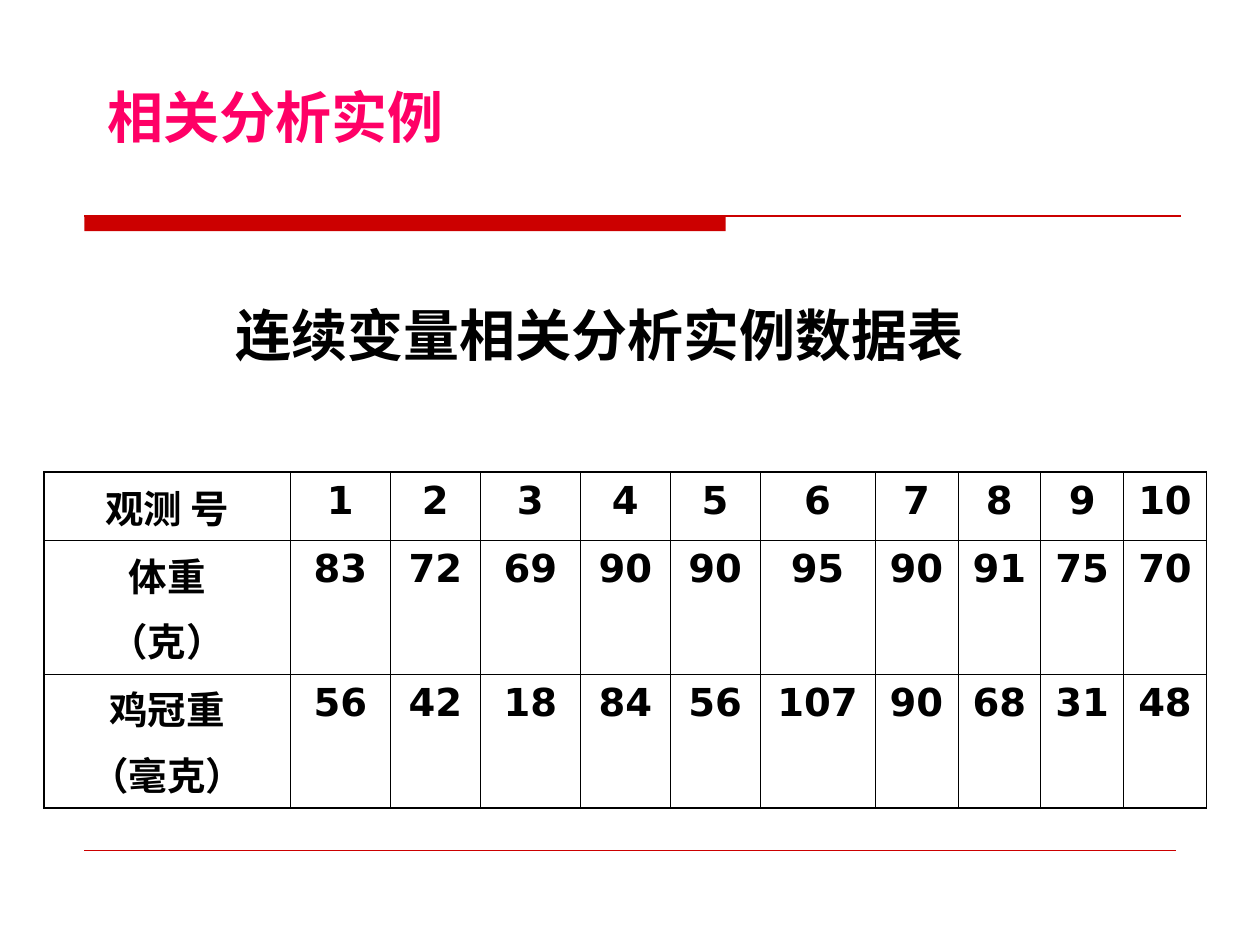
from lxml.etree import SubElement
from pptx import Presentation
from pptx.dml.color import RGBColor
from pptx.enum.shapes import MSO_CONNECTOR as Connector, MSO_SHAPE as Shape
from pptx.enum.text import MSO_ANCHOR as Anchor, MSO_AUTO_SIZE as AutoSize, PP_ALIGN as Align
from pptx.oxml.ns import qn
from pptx.util import Cm, Pt

RED, PINK, BLACK = "CC0000", "FF0066", "000000"
HEADING_FONT, TABLE_FONT = "Times New Roman", "DejaVu Sans"
OUTER_BORDER, INNER_BORDER = Pt(1.08), Pt(0.45)

COLUMN_WIDTHS = [4.96, 2.02, 1.81, 2.02, 1.81, 1.81, 2.32] + [1.67] * 4
ROW_HEIGHTS = [1.37, 2.7, 2.7]
ROWS = [
    ["观测 号", *range(1, 11)],
    ["体重\n（克）", 83, 72, 69, 90, 90, 95, 90, 91, 75, 70],
    ["鸡冠重\n（毫克）", 56, 42, 18, 84, 56, 107, 90, 68, 31, 48],
]


def color(value):
    return RGBColor.from_string(value)


def format_font(font, name, size, hex_color):
    values = {"name": name, "size": Pt(size), "bold": True}
    for attribute, value in values.items():
        setattr(font, attribute, value)
    font.color.rgb = color(hex_color)


def write_heading(shape, text, hex_color):
    frame = shape.text_frame
    frame.text = text
    values = {"word_wrap": False, "auto_size": AutoSize.SHAPE_TO_FIT_TEXT,
              "vertical_anchor": Anchor.TOP}
    for attribute, value in values.items():
        setattr(frame, attribute, value)
    paragraph = frame.paragraphs[0]
    paragraph.alignment = Align.LEFT
    format_font(paragraph.font, HEADING_FONT, 32, hex_color)


def add_line(slide, left, right, top, width):
    line = slide.shapes.add_connector(Connector.STRAIGHT, Cm(left), Cm(top), Cm(right), Cm(top))
    line.line.color.rgb = color(RED)
    line.line.width = Pt(width)
    SubElement(line._element.spPr, qn("a:effectLst"))


def add_bar(slide, left, top, width, height):
    bar = slide.shapes.add_shape(Shape.RECTANGLE, Cm(left), Cm(top), Cm(width), Cm(height))
    bar.shadow.inherit = False
    bar.fill.solid()
    bar.fill.fore_color.rgb = color(RED)
    bar.line.fill.background()


def set_borders(cell, outer_sides):
    properties = cell._tc.get_or_add_tcPr()
    for side in "LRTB":
        width = OUTER_BORDER if side in outer_sides else INNER_BORDER
        border = SubElement(properties, qn(f"a:ln{side}"), w=str(width))
        fill = SubElement(border, qn("a:solidFill"))
        SubElement(fill, qn("a:srgbClr"), val=BLACK)


def fill_cell(cell, text):
    cell.fill.background()
    cell.text_frame.text = text
    for index, paragraph in enumerate(cell.text_frame.paragraphs):
        paragraph.alignment = Align.CENTER
        if index:
            paragraph.space_before = Pt(5.5)
        format_font(paragraph.font, TABLE_FONT, 22, BLACK)


def add_data_table(slide, left, top):
    last_row, last_column = len(ROWS) - 1, len(COLUMN_WIDTHS) - 1
    table = slide.shapes.add_table(
        len(ROWS), len(COLUMN_WIDTHS), Cm(left), Cm(top),
        Cm(sum(COLUMN_WIDTHS)), Cm(sum(ROW_HEIGHTS))).table
    table.first_row = table.horz_banding = False
    for column, width in zip(table.columns, COLUMN_WIDTHS):
        column.width = Cm(width)
    for row, height in zip(table.rows, ROW_HEIGHTS):
        row.height = Cm(height)
    for r, values in enumerate(ROWS):
        for c, value in enumerate(values):
            edges = {"L": c == 0, "R": c == last_column, "T": r == 0, "B": r == last_row}
            cell = table.cell(r, c)
            set_borders(cell, [side for side, outer in edges.items() if outer])
            fill_cell(cell, str(value))


def main():
    presentation = Presentation()
    presentation.slide_width, presentation.slide_height = Cm(25.4), Cm(19.05)
    slide = presentation.slides.add_slide(presentation.slide_layouts[5])

    # Title
    title = slide.shapes.title
    title.left, title.top, title.width, title.height = Cm(1.92), Cm(1.54), Cm(7.4), Cm(1.62)
    write_heading(title, "相关分析实例", PINK)

    # Rules below the title and above the footer
    add_bar(slide, 1.7, 4.35, 12.93, 0.31)
    add_line(slide, 1.7, 23.8, 4.36, 1)
    add_line(slide, 1.7, 23.7, 17.14, 0.25)

    # Data table with its caption
    add_data_table(slide, 0.89, 9.52)
    caption = slide.shapes.add_textbox(Cm(4.5), Cm(5.94), Cm(15.6), Cm(1.62))
    write_heading(caption, "连续变量相关分析实例数据表", BLACK)

    presentation.save("out.pptx")


if __name__ == "__main__":
    main()
